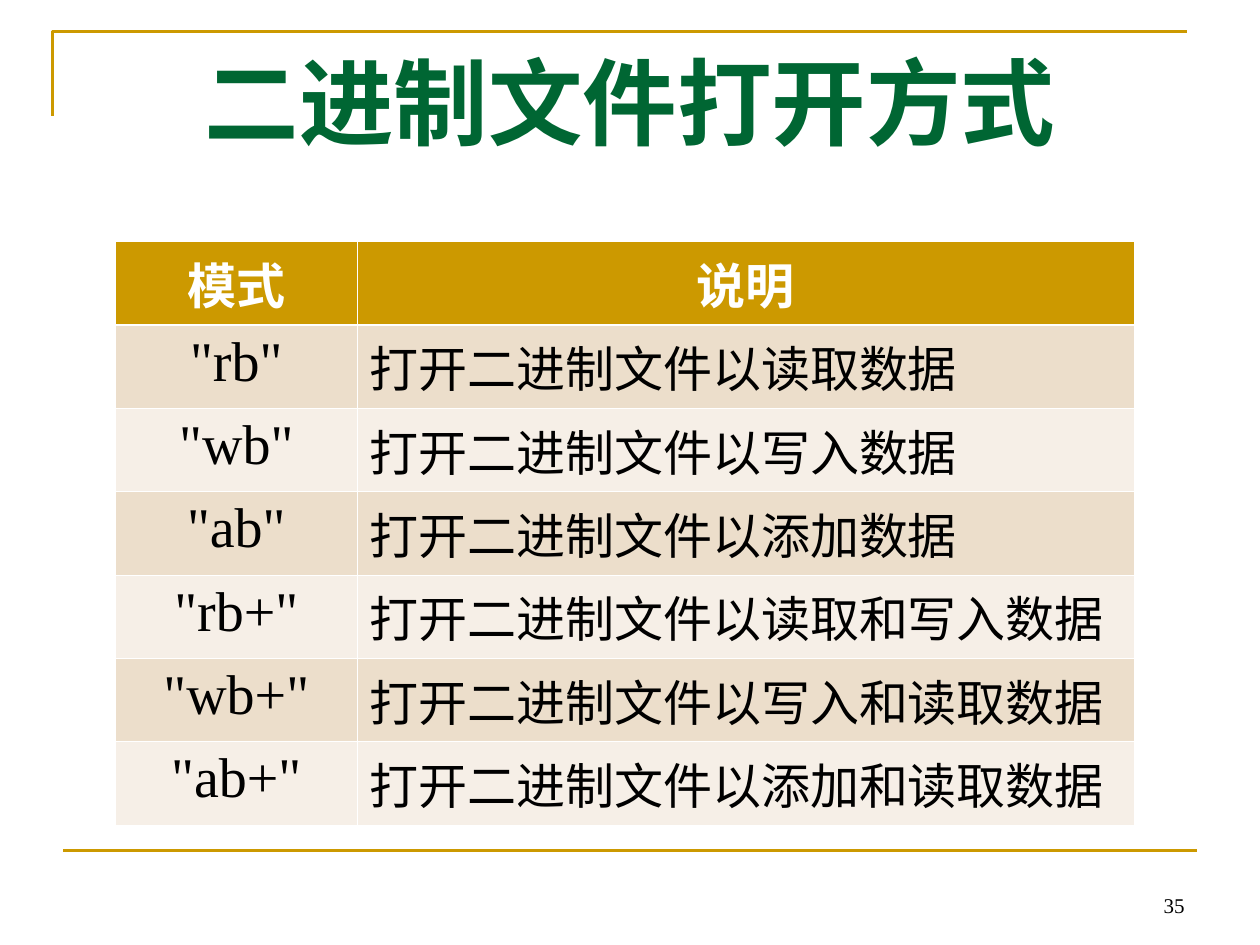
from lxml import etree
from pptx import Presentation
from pptx.dml.color import RGBColor
from pptx.enum import shapes, text
from pptx.oxml.ns import qn
from pptx.util import Cm, Pt

# Content
TITLE = "二进制文件打开方式"
PAGE_NUMBER = "35"
HEADINGS = ("模式", "说明")
MODES = [
    ('"rb"', "打开二进制文件以读取数据"),
    ('"wb"', "打开二进制文件以写入数据"),
    ('"ab"', "打开二进制文件以添加数据"),
    ('"rb+"', "打开二进制文件以读取和写入数据"),
    ('"wb+"', "打开二进制文件以写入和读取数据"),
    ('"ab+"', "打开二进制文件以添加和读取数据"),
]

# Style
COLORS = {"gold": "CC9900", "green": "006633", "black": "000000",
          "white": "FFFFFF", "dark_band": "ECDECB", "light_band": "F6EFE7"}
SERIF, SANS = "Times New Roman", "Arial"
CENTER, LEFT, RIGHT = (text.PP_ALIGN.CENTER, text.PP_ALIGN.LEFT,
                       text.PP_ALIGN.RIGHT)
COLUMN_WIDTHS = (4.87, 15.66)
ROW_HEIGHT = 1.68
THIN, THICK = 0.45, 1.47


def color(name):
    return RGBColor.from_string(COLORS[name])


def write(frame, words, size, font, ink, align, bold=False):
    paragraph = frame.paragraphs[0]
    paragraph.alignment = align
    run = paragraph.add_run()
    run.text = words
    run.font.size, run.font.name, run.font.bold = Pt(size), font, bold
    run.font.color.rgb = color(ink)


def add_text(slide, box, anchor, *style):
    frame = slide.shapes.add_textbox(*map(Cm, box)).text_frame
    frame.word_wrap = True
    frame.vertical_anchor = anchor
    write(frame, *style)


def gold_line(shape):
    shape.line.color.rgb = color("gold")
    shape.line.width = Pt(1.5)


def set_borders(cell, top, bottom):
    properties = cell._tc.get_or_add_tcPr()
    widths = {"lnL": THIN, "lnR": THIN, "lnT": top, "lnB": bottom}
    for place, (side, width) in enumerate(widths.items()):
        border = etree.Element(qn("a:" + side), w=str(Pt(width)))
        fill = etree.SubElement(border, qn("a:solidFill"))
        etree.SubElement(fill, qn("a:srgbClr"), val=COLORS["white"])
        properties.insert(place, border)


def add_frame_lines(slide):
    builder = slide.shapes.build_freeform(Cm(1.06), Cm(2.33))
    builder.add_line_segments([(Cm(1.06), Cm(0.63)), (Cm(23.92), Cm(0.63))],
                              close=False)
    corner = builder.convert_to_shape()
    corner.shadow.inherit = False
    corner.fill.background()
    gold_line(corner)

    footer_line = slide.shapes.add_connector(
        shapes.MSO_CONNECTOR.STRAIGHT, Cm(1.27), Cm(17.15), Cm(24.13), Cm(17.15))
    etree.SubElement(footer_line._element.spPr, qn("a:effectLst"))
    gold_line(footer_line)


def add_mode_table(slide):
    rows = [HEADINGS] + MODES
    table = slide.shapes.add_table(
        len(rows), len(HEADINGS), Cm(2.33), Cm(4.87),
        Cm(sum(COLUMN_WIDTHS)), Cm(ROW_HEIGHT * len(rows))).table
    for column, width in zip(table.columns, COLUMN_WIDTHS):
        column.width = Cm(width)
    for r, row in enumerate(rows):
        table.rows[r].height = Cm(ROW_HEIGHT)
        if r == 0:
            band = "gold"
            styles = [(28, SANS, "white", CENTER, True)] * 2
        else:
            band = "dark_band" if r % 2 else "light_band"
            styles = [(32, SERIF, "black", CENTER), (28, SERIF, "black", LEFT)]
        for c, (words, style) in enumerate(zip(row, styles)):
            cell = table.cell(r, c)
            cell.fill.solid()
            cell.fill.fore_color.rgb = color(band)
            set_borders(cell, THICK if r == 1 else THIN, THICK if r == 0 else THIN)
            write(cell.text_frame, words, *style)


def main():
    deck = Presentation()
    deck.slide_width, deck.slide_height = Cm(25.4), Cm(19.05)
    slide = deck.slides.add_slide(deck.slide_layouts[6])

    add_frame_lines(slide)
    # Page number and title
    add_text(slide, (18.2, 17.35, 5.93, 1.27), text.MSO_ANCHOR.BOTTOM,
             PAGE_NUMBER, 12, SERIF, "black", RIGHT)
    add_text(slide, (1.27, 0.76, 22.86, 3.18), text.MSO_ANCHOR.TOP,
             TITLE, 54, SERIF, "green", CENTER, True)
    add_mode_table(slide)

    deck.save("out.pptx")


if __name__ == "__main__":
    main()
